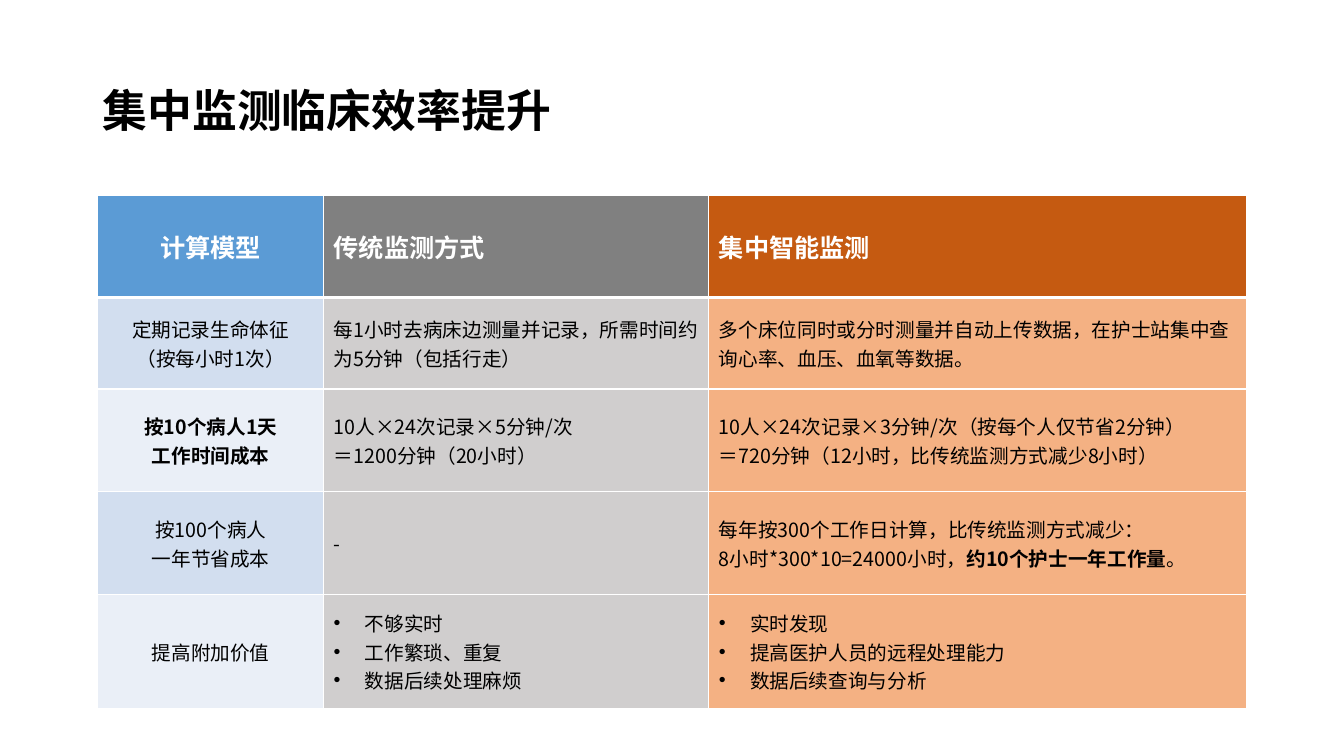
from dataclasses import dataclass

from lxml import etree
from pptx import Presentation
from pptx.dml.color import RGBColor
from pptx.enum.text import MSO_ANCHOR, PP_ALIGN
from pptx.oxml.ns import qn
from pptx.util import Inches, Pt

MIDDLE = MSO_ANCHOR.MIDDLE
CENTER = PP_ALIGN.CENTER
LEFT = PP_ALIGN.LEFT


@dataclass(frozen=True)
class Theme:
    """Fonts, type sizes and colours of the deck."""
    font: str = "Noto Sans CJK SC"
    title_size: int = 32
    header_size: int = 18
    body_size: int = 14
    black: str = "000000"
    white: str = "FFFFFF"
    header_fills: tuple = ("5B9BD5", "808080", "C55A11")
    label_fills: tuple = ("D2DEEF", "EAEFF7")
    body_fills: tuple = ("D0CECE", "F4B183")


THEME = Theme()
TITLE = "集中监测临床效率提升"
COLUMN_WIDTHS = (2.24, 3.82, 5.33)
ROW_HEIGHTS = (1.01, 0.91, 1.02, 1.02, 1.13)
BULLET = "•"
BOLD_MARK = "|"
ROWS = (
    (["计算模型"], ["传统监测方式"], ["集中智能监测"]),
    (["定期记录生命体征", "（按每小时1次）"],
     ["每1小时去病床边测量并记录，所需时间约为5分钟（包括行走）"],
     ["多个床位同时或分时测量并自动上传数据，在护士站集中查询心率、血压、血氧等数据。"]),
    (["|按10个病人1天|", "|工作时间成本|"],
     ["10人×24次记录×5分钟/次", "＝1200分钟（20小时）"],
     ["10人×24次记录×3分钟/次（按每个人仅节省2分钟）",
      "＝720分钟（12小时，比传统监测方式减少8小时）"]),
    (["按100个病人", "一年节省成本"],
     ["-"],
     ["每年按300个工作日计算，比传统监测方式减少：",
      "8小时*300*10=24000小时，|约10个护士一年工作量|。"]),
    (["提高附加价值"],
     ["•不够实时", "•工作繁琐、重复", "•数据后续处理麻烦"],
     ["•实时发现", "•提高医护人员的远程处理能力", "•数据后续查询与分析"]),
)


def style_span(span, size, color, bold):
    """Set the font of one run for Latin and East Asian text."""
    font = span.font
    font.name = THEME.font
    font.size = Pt(size)
    font.bold = bold
    font.color.rgb = RGBColor.from_string(color)
    latin = span._r.rPr.find(qn("a:latin"))
    east_asian = etree.Element(qn("a:ea"), typeface=THEME.font)
    latin.addnext(east_asian)


def add_bullet(para):
    """Give a paragraph a hanging bullet."""
    properties = para._p.get_or_add_pPr()
    indent = Inches(0.31)
    properties.set("marL", str(indent))
    properties.set("indent", str(-indent))
    etree.SubElement(properties, qn("a:buFont"), typeface="Arial")
    etree.SubElement(properties, qn("a:buChar"), char=BULLET)


def write_lines(frame, lines, size, color, align, bold=False):
    """Write one paragraph per line, with marked parts in bold."""
    for index, line in enumerate(lines):
        para = frame.add_paragraph() if index else frame.paragraphs[0]
        para.alignment = align
        if line.startswith(BULLET):
            add_bullet(para)
        for part, text in enumerate(line.removeprefix(BULLET).split(BOLD_MARK)):
            if text:
                span = para.add_run()
                span.text = text
                style_span(span, size, color, bold or part % 2 == 1)


def set_borders(cell, top, bottom):
    """Draw white borders round a cell, with widths in points."""
    properties = cell._tc.get_or_add_tcPr()
    widths = {"a:lnL": 1, "a:lnR": 1, "a:lnT": top, "a:lnB": bottom}
    for position, (tag, width) in enumerate(widths.items()):
        line = etree.Element(qn(tag), w=str(Pt(width)))
        fill = etree.SubElement(line, qn("a:solidFill"))
        etree.SubElement(fill, qn("a:srgbClr"), val=THEME.white)
        properties.insert(position, line)


def cell_fill(row, column):
    """Pick the fill colour for a place in the table."""
    if row == 0:
        return THEME.header_fills[column]
    if column == 0:
        return THEME.label_fills[(row - 1) % 2]
    return THEME.body_fills[column - 1]


def add_title(page, left, top, width, height):
    """Place the slide title in the given box."""
    box = page.shapes.add_textbox(
        Inches(left), Inches(top), Inches(width), Inches(height))
    frame = box.text_frame
    frame.word_wrap = True
    frame.vertical_anchor = MIDDLE
    write_lines(frame, [TITLE], THEME.title_size, THEME.black, LEFT, bold=True)
    frame.paragraphs[0].line_spacing = 0.9


def add_comparison(page, left, top):
    """Place the comparison table with its top left corner at the given point."""
    table = page.shapes.add_table(
        len(ROW_HEIGHTS), len(COLUMN_WIDTHS), Inches(left), Inches(top),
        Inches(sum(COLUMN_WIDTHS)), Inches(sum(ROW_HEIGHTS))).table
    for column, width in zip(table.columns, COLUMN_WIDTHS):
        column.width = Inches(width)
    for row, height in zip(table.rows, ROW_HEIGHTS):
        row.height = Inches(height)
    for row, contents in enumerate(ROWS):
        header = row == 0
        size = THEME.header_size if header else THEME.body_size
        color = THEME.white if header else THEME.black
        for column, lines in enumerate(contents):
            cell = table.cell(row, column)
            cell.vertical_anchor = MIDDLE
            cell.fill.solid()
            cell.fill.fore_color.rgb = RGBColor.from_string(cell_fill(row, column))
            set_borders(cell, top=3 if row == 1 else 1, bottom=3 if header else 1)
            align = CENTER if column == 0 else LEFT
            write_lines(cell.text_frame, lines, size, color, align, bold=header)


def main():
    """Build the deck and save it."""
    deck = Presentation()
    deck.slide_width = Inches(13.33)
    deck.slide_height = Inches(7.5)
    page = deck.slides.add_slide(deck.slide_layouts[6])
    add_title(page, 0.92, 0.4, 11.5, 1.45)
    add_comparison(page, 0.97, 1.94)
    deck.save("out.pptx")


if __name__ == "__main__":
    main()
